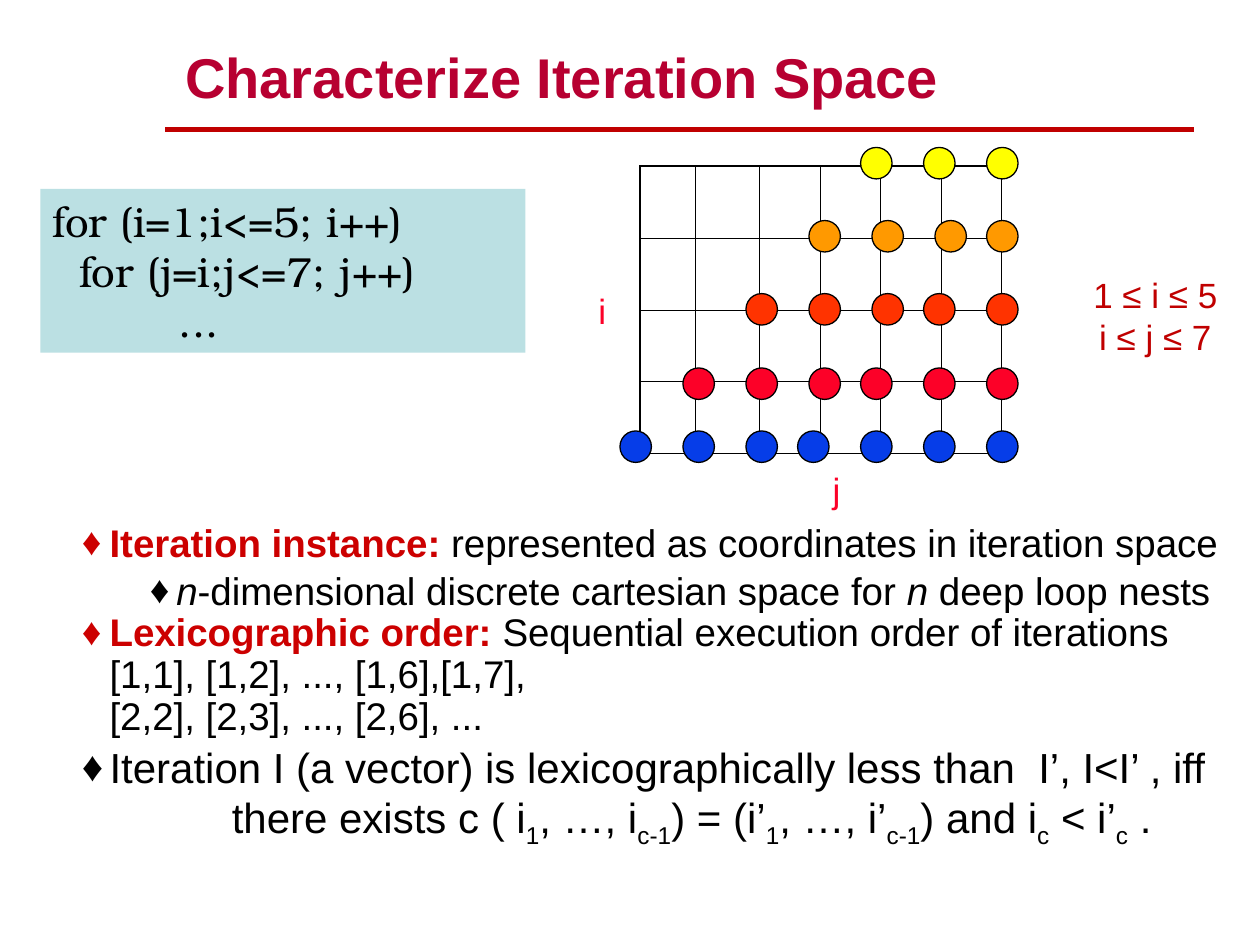
from lxml import etree
from pptx import Presentation, util as u
from pptx.dml.color import RGBColor
from pptx.enum import shapes, text
from pptx.oxml import parse_xml
from pptx.oxml.ns import nsdecls, qn

INSETS = (0.1, 0.05)
TITLE = {"size": 32, "name": "Arial", "color": "B70031", "bold": True}
CODE = {"size": 24, "name": "TeX Gyre Bonum", "color": "000000"}
AXIS = {"size": 20, "name": "Arial", "color": "FC0128"}
BOUND = {"size": 20, "name": "Arial", "color": "C00000"}
PLAIN = {"size": 22, "name": "Arial", "color": "000000"}
TERM = {**PLAIN, "color": "CC0000", "bold": True}
ITALIC = {**PLAIN, "italic": True}
LARGE = {**PLAIN, "size": 24}
SUB = {**LARGE, "baseline": "-25000"}

CODE_LINES = ["for (i=1;i<=5; i++)", "  for (j=i;j<=7; j++)\n\t..."]
BOUNDS = ["1 ≤ i ≤ 5", "i ≤ j ≤ 7"]
AXES = [("i", 4.65, 2.25), ("j", 6.51, 3.67)]
FIRST = {"level": 0, "indent": 0.22, "hang": 0.22, "spacing": 0.9, "after": 5}
SECOND = {"level": 1, "indent": 0.75, "hang": 0.21, "spacing": 0.85, "after": 0}
BULLETS = [
    (FIRST, "CC0000", [("Iteration instance:", TERM),
                       (" represented as coordinates in iteration space", PLAIN)]),
    (SECOND, "000000", [("n", ITALIC), ("-dimensional discrete cartesian space for ", PLAIN),
                        ("n ", ITALIC), ("deep loop nests", PLAIN)]),
    (FIRST, "CC0000", [("Lexicographic order: ", TERM),
                       ("Sequential execution order of iterations\n[1,1], [1,2], ..., [1,6],[1,7],"
                        "\n[2,2], [2,3], ..., [2,6], ...", PLAIN)]),
    (FIRST, "000000", [
        ("Iteration I (a vector) is lexicographically less than  I’, I<I’ , iff"
         "\n\tthere exists c ( i", LARGE),
        ("1", SUB), (", …, i", LARGE), ("c-1", SUB), (") = (i’", LARGE),
        ("1", SUB), (", …, i’", LARGE), ("c-1", SUB), (") and i", LARGE),
        ("c", SUB), (" < i’", LARGE), ("c", SUB), (" .", LARGE)]),
]
GRID_COLUMNS = [0.44, 0.51, 0.48, 0.48, 0.48, 0.48]
GRID_ROWS = [0.57] * 4
DOT, DOT_STEP, DOT_RIGHT = 0.25, 0.5, 7.83
DOT_ROWS = [
    {"top": 3.42, "color": "063DE8", "start": 4.92, "from_left": 3, "from_right": 4},
    {"top": 2.92, "color": "FC0128", "start": 5.42, "from_left": 3, "from_right": 3},
    {"top": 2.33, "color": "FF3300", "start": 5.92, "from_left": 3, "from_right": 2},
    {"top": 1.75, "color": "FF9900", "start": 6.42, "from_left": 3, "from_right": 1},
    {"top": 1.17, "color": "FFFF00", "start": 6.83, "from_left": 0, "from_right": 3},
]


def rgb(value):
    """Turn a hex string into a colour."""
    return RGBColor.from_string(value)


def add_span(para, words, style):
    """Add styled words, turning newlines into line breaks."""
    for number, line in enumerate(words.split("\n")):
        if number:
            para.add_line_break()
        span = para.add_run()
        span.text = line
        for key, value in style.items():
            if key == "color":
                span.font.color.rgb = rgb(value)
            elif key == "baseline":
                span.font._element.set("baseline", value)
            else:
                setattr(span.font, key, u.Pt(value) if key == "size" else value)


def add_tab(para, position):
    """Add a left tab stop to a paragraph."""
    para._p.get_or_add_pPr().append(parse_xml(
        f'<a:tabLst {nsdecls("a")}><a:tab pos="{u.Inches(position)}" algn="l"/></a:tabLst>'))


def set_frame(frame, wrap=True, anchor=text.MSO_ANCHOR.TOP, insets=INSETS):
    """Set wrapping, anchor and margins of a text frame."""
    side, edge = (u.Inches(inset) for inset in insets)
    values = {"word_wrap": wrap, "vertical_anchor": anchor, "margin_left": side,
              "margin_right": side, "margin_top": edge, "margin_bottom": edge}
    for key, value in values.items():
        setattr(frame, key, value)


def write_lines(frame, lines, style, align=text.PP_ALIGN.LEFT):
    """Write one paragraph for each line."""
    for number, line in enumerate(lines):
        para = frame.add_paragraph() if number else frame.paragraphs[0]
        para.alignment = align
        if "\t" in line:
            add_tab(para, 1)
        add_span(para, line, style)


def add_box(parent, kind, place, fill, line=None):
    """Add a filled preset shape without a shadow."""
    box = parent.add_shape(kind, *map(u.Inches, place))
    box.shadow.inherit = False
    box.fill.solid()
    box.fill.fore_color.rgb = rgb(fill)
    if line:
        box.line.color.rgb = rgb(line)
        box.line.width = u.Pt(0.75)
    else:
        box.line.fill.background()
    return box


def add_rule(page):
    """Draw the line under the title."""
    rule = page.shapes.add_connector(shapes.MSO_CONNECTOR.STRAIGHT, u.Inches(1.31),
                                     u.Inches(1.03), u.Inches(9.48), u.Inches(1.03))
    rule.line.color.rgb = rgb("C00000")
    rule.line.width = u.Pt(3)
    etree.SubElement(rule._element.spPr, qn("a:effectLst"))


def add_bullets(page):
    """Write the bulleted definitions."""
    box = page.shapes.add_textbox(*map(u.Inches, (0.58, 4.13, 9.33, 2.6)))
    set_frame(box.text_frame, insets=(0.07, 0.03))
    for number, (form, color, spans) in enumerate(BULLETS):
        para = box.text_frame.add_paragraph() if number else box.text_frame.paragraphs[0]
        props = para._p.get_or_add_pPr()
        props.set("marL", str(u.Inches(form["indent"])))
        props.set("indent", str(-u.Inches(form["hang"])))
        for part in (f'<a:buClr {nsdecls("a")}><a:srgbClr val="{color}"/></a:buClr>',
                     f'<a:buFont {nsdecls("a")} typeface="Arial"/>',
                     f'<a:buChar {nsdecls("a")} char="♦"/>'):
            props.append(parse_xml(part))
        add_tab(para, 1.19)
        values = {"level": form["level"], "line_spacing": form["spacing"],
                  "space_after": u.Pt(form["after"])}
        for key, value in values.items():
            setattr(para, key, value)
        for words, style in spans:
            add_span(para, words, style)


def add_grid(page):
    """Draw the iteration space as an empty table with a thicker outline."""
    last_row, last_column = len(GRID_ROWS) - 1, len(GRID_COLUMNS) - 1
    frame = page.shapes.add_table(last_row + 1, last_column + 1, *map(
        u.Inches, (5.08, 1.32, sum(GRID_COLUMNS), sum(GRID_ROWS))))
    grid = frame.table
    grid.first_row = grid.horz_banding = False
    for column, width in zip(grid.columns, GRID_COLUMNS):
        column.width = u.Inches(width)
    for r, height in enumerate(GRID_ROWS):
        grid.rows[r].height = u.Inches(height)
        for c in range(last_column + 1):
            cell = grid.cell(r, c)
            props = cell._tc.get_or_add_tcPr()
            outer = {"L": c == 0, "R": c == last_column, "T": r == 0, "B": r == last_row}
            for side, thick in outer.items():
                props.append(parse_xml(
                    f'<a:ln{side} {nsdecls("a")} w="{u.Pt(1.08 if thick else 0.45)}"><a:solidFill>'
                    f'<a:srgbClr val="000000"/></a:solidFill></a:ln{side}>'))
            cell.fill.background()


def add_dots(page):
    """Draw each row of iterations as a group of circles."""
    for row in DOT_ROWS:
        lefts = [row["start"] + DOT_STEP * n for n in range(row["from_left"])]
        lefts += [DOT_RIGHT - DOT_STEP * n for n in reversed(range(row["from_right"]))]
        group = page.shapes.add_group_shape()
        for left in lefts:
            add_box(group.shapes, shapes.MSO_SHAPE.OVAL, (left, row["top"], DOT, DOT),
                    row["color"], "000000")


def main():
    """Build the slide and save it."""
    deck = Presentation()
    deck.slide_width, deck.slide_height = u.Inches(10), u.Inches(7.5)
    page = deck.slides.add_slide(deck.slide_layouts[5])
    title = page.shapes.title
    title.left, title.top, title.width, title.height = map(u.Inches, (1.37, 0.25, 8, 0.67))
    set_frame(title.text_frame, anchor=text.MSO_ANCHOR.BOTTOM)
    write_lines(title.text_frame, ["Characterize Iteration Space"], TITLE)
    add_rule(page)
    add_bullets(page)
    code = add_box(page.shapes, shapes.MSO_SHAPE.RECTANGLE, (0.32, 1.5, 3.85, 1.3), "BBE0E3")
    set_frame(code.text_frame)
    write_lines(code.text_frame, CODE_LINES, CODE)
    bounds = add_box(page.shapes, shapes.MSO_SHAPE.RECTANGLE, (8.42, 1.17, 1.5, 2.67), "FFFFFF")
    set_frame(bounds.text_frame, False, text.MSO_ANCHOR.MIDDLE)
    write_lines(bounds.text_frame, BOUNDS, BOUND, text.PP_ALIGN.CENTER)
    add_grid(page)
    for name, left, top in AXES:
        label = page.shapes.add_textbox(*map(u.Inches, (left, top, 0.26, 0.44)))
        set_frame(label.text_frame, False)
        write_lines(label.text_frame, [name], AXIS)
    add_dots(page)
    deck.save("out.pptx")


if __name__ == "__main__":
    main()
